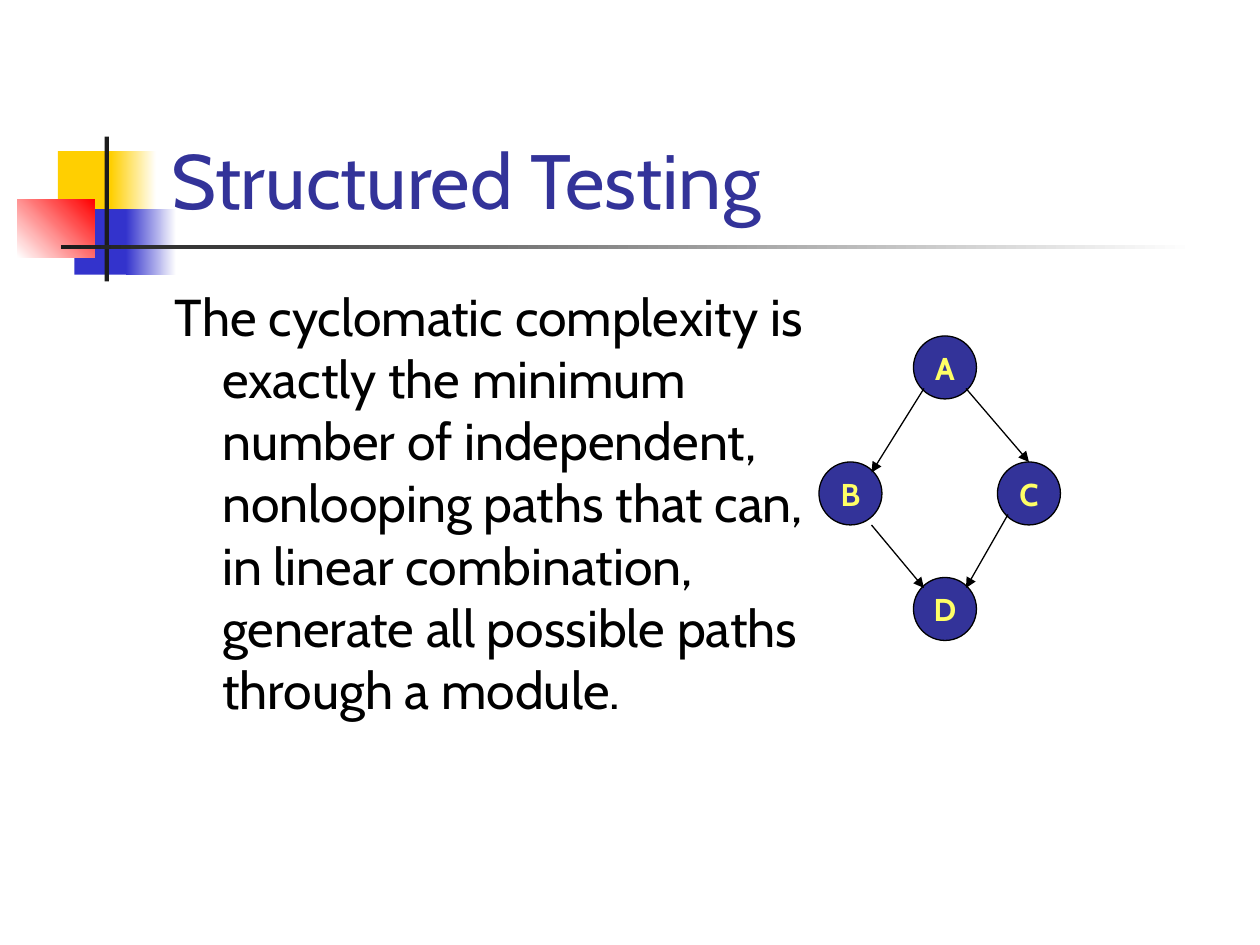
from lxml import etree
from pptx import Presentation
from pptx.dml.color import RGBColor
from pptx.enum.shapes import MSO_CONNECTOR, MSO_SHAPE
from pptx.enum.text import MSO_ANCHOR, PP_ALIGN
from pptx.oxml.ns import qn
from pptx.util import Pt

RECTANGLE, OVAL = MSO_SHAPE.RECTANGLE, MSO_SHAPE.OVAL
STRAIGHT = MSO_CONNECTOR.STRAIGHT
TOP, MIDDLE, BOTTOM = MSO_ANCHOR.TOP, MSO_ANCHOR.MIDDLE, MSO_ANCHOR.BOTTOM
LEFT, CENTER = PP_ALIGN.LEFT, PP_ALIGN.CENTER

YELLOW, BLUE, RED = "FFCF01", "3333CC", "FF0000"
INK, WHITE, BLACK = "1C1C1C", "FFFFFF", "000000"
NAVY, LEMON = "333399", "FFFF66"

BANDS = [
    ((33.1, 86.4, 34.6, 37.4), (YELLOW,), 0),
    ((63.4, 86.4, 25.9, 37.4), (YELLOW, WHITE), 0),
    ((42.5, 119.5, 33.1, 37.4), (BLUE,), 0),
    ((72, 119.5, 28.8, 37.4), (BLUE, WHITE), 0),
    ((10, 113.8, 44, 33.4), (WHITE, RED), 45),
    ((59.8, 78, 2.4, 82.8), (INK,), 0),
    ((34.8, 140, 648, 2.5), (INK, WHITE), 0),
]
NODES = {"A": (522, 192), "B": (468, 264), "C": (570, 264), "D": (522, 330)}
NODE_SIZE = 36
EDGES = [
    ((528, 222), (498, 270)),
    ((552, 222), (588, 264)),
    ((498, 300), (528, 336)),
    ((576, 294), (552, 336)),
]
STATEMENT = (
    "The cyclomatic complexity is exactly the minimum number of independent, "
    "nonlooping paths that can, in linear combination, generate all possible "
    "paths through a module."
)


def color(hex_code):
    """Turn a hex string into a colour."""
    return RGBColor.from_string(hex_code)


def write(frame, text, *, font, size, ink, bold=False, align=LEFT,
          anchor=TOP, wrap=True, hanging=0):
    """Write one formatted paragraph into a text frame."""
    frame.word_wrap = wrap
    frame.vertical_anchor = anchor
    paragraph = frame.paragraphs[0]
    paragraph.alignment = align
    if hanging:
        properties = paragraph._p.get_or_add_pPr()
        properties.set("marL", str(Pt(hanging)))
        properties.set("indent", str(-Pt(hanging)))
    run = paragraph.add_run()
    run.text = text
    run.font.name = font
    run.font.size = Pt(size)
    run.font.bold = bold
    run.font.color.rgb = color(ink)


class SlideBuilder:
    """Hold the style and the current slide."""

    def __init__(self, slide, font="Cabin", line_width=0.75):
        """Keep the slide and the shared style."""
        self.shapes = slide.shapes
        self.font = font
        self.line_width = line_width

    def band(self, box, colors, angle):
        """Add a borderless rectangle with a plain or gradient fill."""
        band = self.shapes.add_shape(RECTANGLE, *map(Pt, box))
        band.shadow.inherit = False
        band.line.fill.background()
        if len(colors) == 1:
            band.fill.solid()
            band.fill.fore_color.rgb = color(colors[0])
            return
        band.fill.gradient()
        band.fill.gradient_angle = angle
        for stop, hex_code in zip(band.fill.gradient_stops, colors):
            stop.color.rgb = color(hex_code)

    def text(self, box, text, **style):
        """Add a text box."""
        frame = self.shapes.add_textbox(*map(Pt, box)).text_frame
        write(frame, text, font=self.font, **style)

    def node(self, label, left, top):
        """Add a labelled circle of the flow graph."""
        node = self.shapes.add_shape(
            OVAL, Pt(left), Pt(top), Pt(NODE_SIZE), Pt(NODE_SIZE))
        node.shadow.inherit = False
        node.fill.solid()
        node.fill.fore_color.rgb = color(NAVY)
        node.line.color.rgb = color(BLACK)
        node.line.width = Pt(self.line_width)
        write(node.text_frame, label, font=self.font, size=18, ink=LEMON,
              bold=True, align=CENTER, anchor=MIDDLE, wrap=False)

    def edge(self, start, end):
        """Add an arrow of the flow graph."""
        edge = self.shapes.add_connector(STRAIGHT, *map(Pt, start + end))
        edge.line.color.rgb = color(BLACK)
        edge.line.width = Pt(self.line_width)
        head = etree.SubElement(edge.line._get_or_add_ln(), qn("a:tailEnd"))
        head.set("type", "triangle")
        etree.SubElement(edge._element.spPr, qn("a:effectLst"))


def main():
    """Build and save the slide."""
    deck = Presentation()
    deck.slide_width, deck.slide_height = Pt(720), Pt(540)
    builder = SlideBuilder(deck.slides.add_slide(deck.slide_layouts[6]))
    for box, colors, angle in BANDS:
        builder.band(box, colors, angle)
    builder.text((90.7, 16.6, 613.4, 115.2), "Structured Testing",
                 size=44, ink=NAVY, anchor=BOTTOM)
    builder.text((92.9, 159.1, 391, 324), STATEMENT,
                 size=29.6, ink=BLACK, hanging=27)
    for label, (left, top) in NODES.items():
        builder.node(label, left, top)
    for start, end in EDGES:
        builder.edge(start, end)
    deck.save("out.pptx")


if __name__ == "__main__":
    main()
